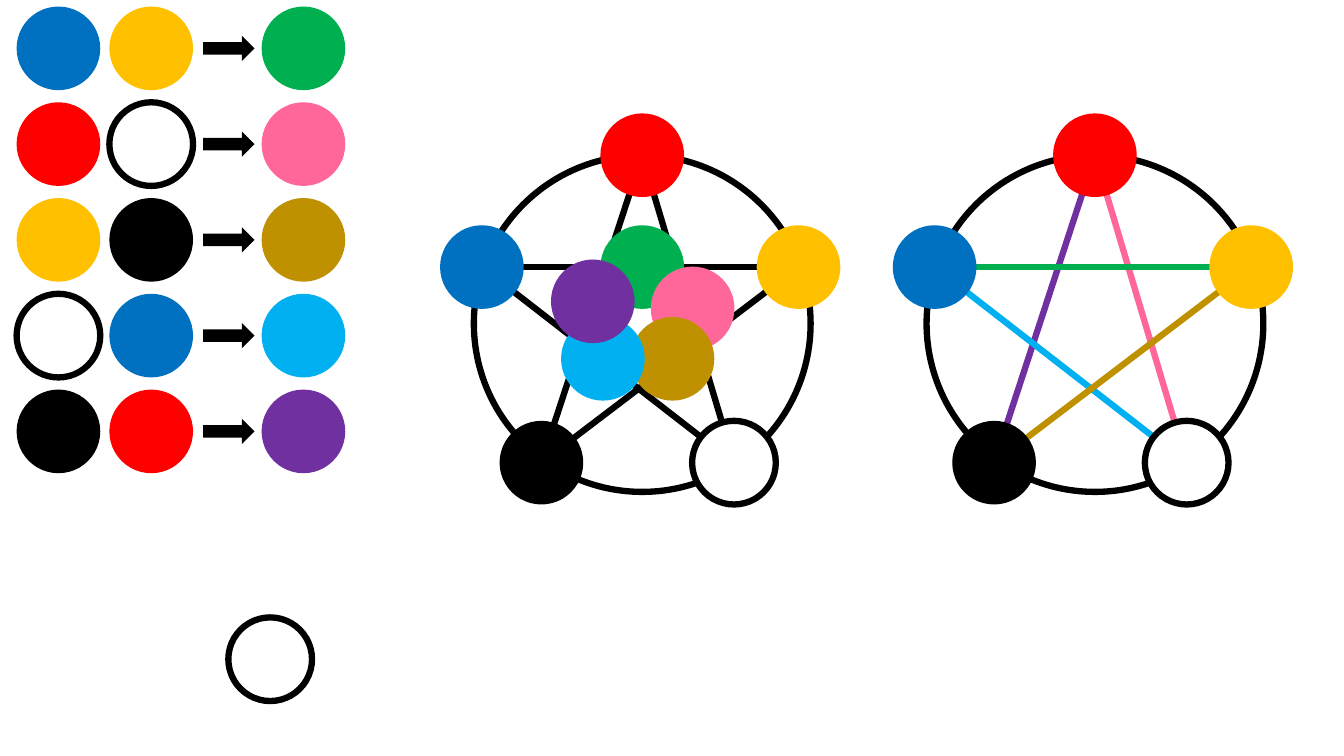
import pptx
import pptx.dml.color
import pptx.enum.shapes
import pptx.oxml.ns
import pptx.util
from lxml import etree

COLORS = {
    "red": "FF0000", "yellow": "FFC000", "white": "FFFFFF", "black": "000000",
    "blue": "0070C0", "green": "00B050", "pink": "FF6699", "brown": "BF9000",
    "sky": "00B0F0", "purple": "7030A0",
}
# blend: its two ingredients, in row order
MIXES = {
    "green": ("blue", "yellow"),
    "pink": ("red", "white"),
    "brown": ("yellow", "black"),
    "sky": ("white", "blue"),
    "purple": ("black", "red"),
}
STAR_LINES = ("purple", "pink", "sky", "green", "brown")
# Disc centres, measured from the centre of the ring
CORNERS = {
    "red": (0, -1.67), "white": (0.91, 1.38), "blue": (-1.59, -0.56),
    "yellow": (1.55, -0.56), "black": (-1, 1.38),
}
BLENDS = {
    "green": (0, -0.56), "pink": (0.5, -0.15), "brown": (0.3, 0.35),
    "sky": (-0.39, 0.35), "purple": (-0.49, -0.22),
}

WIDTH, HEIGHT = 13.33, 7.5
DISC, RING = 0.83, 3.34
ARROW_WIDTH, ARROW_HEIGHT = 0.51, 0.25
INGREDIENT_COLUMNS, ARROW_COLUMN, BLEND_COLUMN = (0.58, 1.5), 2.27, 3.01
FIRST_ROW, ROW_STEP = 0.48, 0.95
PLAIN_STAR, COLORED_STAR = (6.37, 3.21), (10.86, 3.21)
SPARE_DISC = (2.68, 6.54)
STROKE = pptx.util.Pt(4.5)
SHAPES = pptx.enum.shapes.MSO_SHAPE


def rgb(name):
    return pptx.dml.color.RGBColor.from_string(COLORS[name])


def add_centred(page, kind, centre, width, height, fill=None, line=None):
    x, y = centre
    shape = page.shapes.add_shape(
        kind, *map(pptx.util.Inches, (x - width / 2, y - height / 2, width, height)))
    shape.shadow.inherit = False
    if fill:
        shape.fill.solid()
        shape.fill.fore_color.rgb = rgb(fill)
    else:
        shape.fill.background()
    if line:
        shape.line.color.rgb = rgb(line)
        shape.line.width = STROKE
    else:
        shape.line.fill.background()


def add_disc(page, centre, color):
    outline = "black" if color == "white" else None
    add_centred(page, SHAPES.OVAL, centre, DISC, DISC, color, outline)


def add_line(page, start, end, color):
    line = page.shapes.add_connector(
        pptx.enum.shapes.MSO_CONNECTOR.STRAIGHT, *map(pptx.util.Inches, start + end))
    line.line.color.rgb = rgb(color)
    line.line.width = STROKE
    properties = line._element.spPr
    etree.SubElement(properties, pptx.oxml.ns.qn("a:effectLst"))


def add_mix_rows(page):
    for row, (blend, ingredients) in enumerate(MIXES.items()):
        y = FIRST_ROW + row * ROW_STEP
        for x, color in zip(INGREDIENT_COLUMNS, ingredients):
            add_disc(page, (x, y), color)
        add_centred(page, SHAPES.RIGHT_ARROW, (ARROW_COLUMN, y),
                    ARROW_WIDTH, ARROW_HEIGHT, "black")
        add_disc(page, (BLEND_COLUMN, y), blend)


def add_star(page, centre, colored_lines):
    def place(offset):
        return centre[0] + offset[0], centre[1] + offset[1]

    add_centred(page, SHAPES.OVAL, centre, RING, RING, line="black")
    for blend in STAR_LINES:
        start, end = (place(CORNERS[color]) for color in MIXES[blend])
        add_line(page, start, end, blend if colored_lines else "black")
    for color, offset in CORNERS.items():
        add_disc(page, place(offset), color)
    if not colored_lines:
        for color, offset in BLENDS.items():
            add_disc(page, place(offset), color)


def main():
    deck = pptx.Presentation()
    deck.slide_width = pptx.util.Inches(WIDTH)
    deck.slide_height = pptx.util.Inches(HEIGHT)
    page = deck.slides.add_slide(deck.slide_layouts[6])
    add_mix_rows(page)
    add_disc(page, SPARE_DISC, "white")
    add_star(page, PLAIN_STAR, colored_lines=False)
    add_star(page, COLORED_STAR, colored_lines=True)
    deck.save("out.pptx")


if __name__ == "__main__":
    main()
